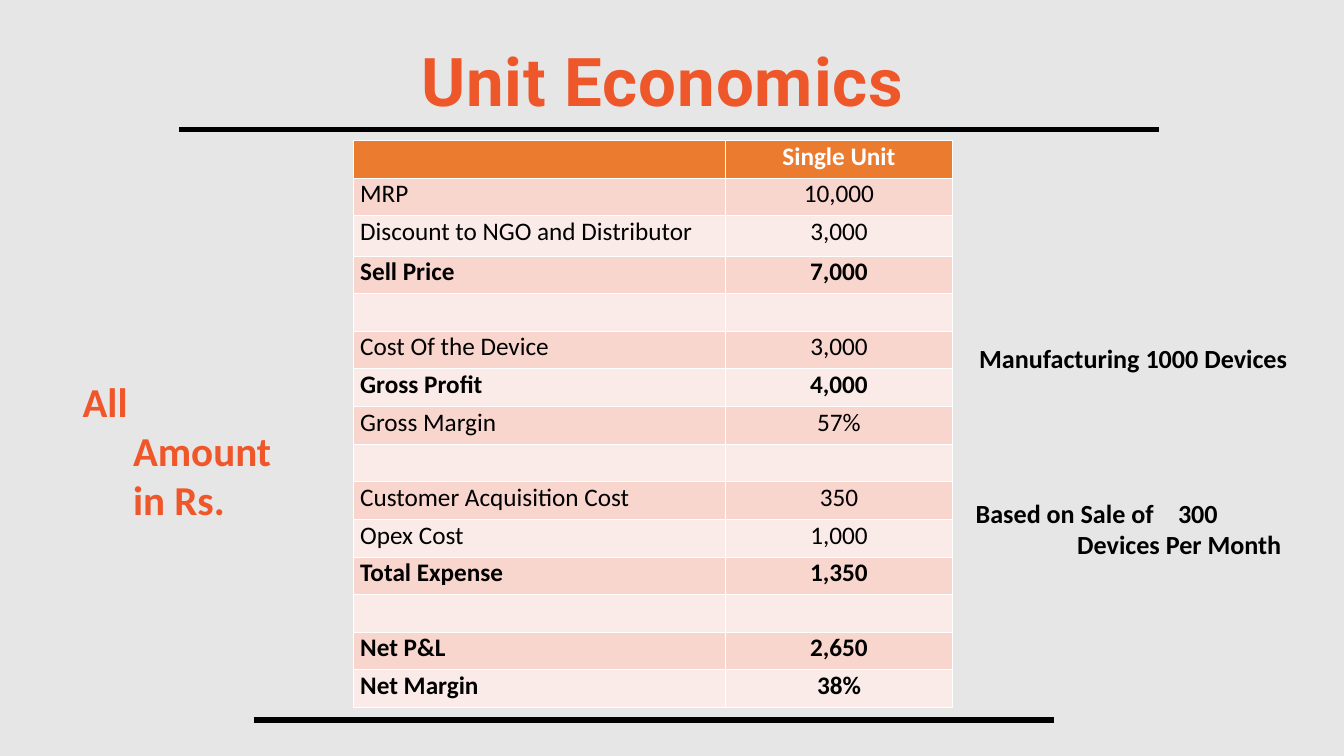
import pptx
import pptx.util
import pptx.dml.color
import pptx.enum.shapes
import pptx.enum.text
import lxml.etree

Inches = pptx.util.Inches
Pt = pptx.util.Pt
ALIGN = pptx.enum.text.PP_ALIGN
NS = "{http://schemas.openxmlformats.org/drawingml/2006/main}"

ROWS = [
    ("", "Single Unit", True),
    ("MRP", "10,000", False),
    ("Discount to NGO and Distributor", "3,000", False),
    ("Sell Price", "7,000", True),
    ("", "", False),
    ("Cost Of the Device", "3,000", False),
    ("Gross Profit", "4,000", True),
    ("Gross Margin", "57%", False),
    ("", "", False),
    ("Customer Acquisition Cost", "350", False),
    ("Opex Cost", "1,000", False),
    ("Total Expense", "1,350", True),
    ("", "", False),
    ("Net P&L", "2,650", True),
    ("Net Margin", "38%", True),
]


def paint(target, color):
    if hasattr(target, "solid"):
        target.solid()
        target = target.fore_color
    target.rgb = pptx.dml.color.RGBColor.from_string(color)


def style(para, size, color, bold=True, face="Calibri"):
    for run in para.runs:
        run.font.name = face
        run.font.size = Pt(size)
        run.font.bold = bold
        paint(run.font.color, color)


def trim(frame, top):
    frame.margin_left = frame.margin_right = frame.margin_bottom = 0
    frame.margin_top = Inches(top)
    frame.word_wrap = True
    frame.vertical_anchor = pptx.enum.text.MSO_ANCHOR.TOP
    frame.auto_size = pptx.enum.text.MSO_AUTO_SIZE.NONE


def indent(para, left, first):
    props = para._p.get_or_add_pPr()
    props.set("marL", str(Inches(left)))
    props.set("indent", str(Inches(first)))
    return props


def add_rule(slide, left, top, width):
    rule = slide.shapes.add_connector(
        pptx.enum.shapes.MSO_CONNECTOR.STRAIGHT,
        Inches(left), Inches(top), Inches(left + width), Inches(top))
    paint(rule.line.fill, "000000")
    rule.line.width = Pt(6)
    lxml.etree.SubElement(rule._element.spPr, NS + "effectLst")


def add_title(slide, left, top, width, height):
    title = slide.shapes.title
    title.left, title.top = Inches(left), Inches(top)
    title.width, title.height = Inches(width), Inches(height)
    trim(title.text_frame, 0.22)
    title.text_frame.text = "Unit Economics"
    para = title.text_frame.paragraphs[0]
    para.alignment = ALIGN.LEFT
    indent(para, 2.13, 0)
    style(para, 72, "EE572A", face="Roboto")
    para.runs[0]._r.get_or_add_rPr().set("spc", "100")
    add_rule(slide, left - 1.47, top + 1.56, 14.58)


def add_costs(slide, left, top, widths, height):
    frame = slide.shapes.add_table(
        len(ROWS), len(widths), Inches(left), Inches(top),
        Inches(sum(widths)), Inches(height * len(ROWS)))
    table = frame.table
    for col, width in zip(table.columns, widths):
        col.width = Inches(width)
    for row, (label, value, bold) in enumerate(ROWS):
        table.rows[row].height = Inches(height)
        band = "EB7B2F" if row == 0 else ("FAEBE8", "F8D5CD")[row % 2]
        ink = "FFFFFF" if row == 0 else "000000"
        for col, text in enumerate((label, value)):
            cell = table.cell(row, col)
            paint(cell.fill, band)
            cell.margin_left = Inches(0 if col else 0.1)
            cell.margin_right = cell.margin_bottom = 0
            cell.margin_top = Inches(0.01)
            cell.text_frame.text = text
            para = cell.text_frame.paragraphs[0]
            para.alignment = ALIGN.CENTER if col else ALIGN.LEFT
            style(para, 27, ink, bold)
    table.rows[2].height = Inches(0.6)


def add_note(slide, left, top, width, height, text, size, color,
             hang=0, tab=None):
    box = slide.shapes.add_textbox(
        Inches(left), Inches(top), Inches(width), Inches(height))
    trim(box.text_frame, 0.02)
    para = box.text_frame.paragraphs[0]
    para.text = text
    props = indent(para, hang + 0.01, -hang)
    if tab:
        stops = lxml.etree.SubElement(props, NS + "tabLst")
        lxml.etree.SubElement(
            stops, NS + "tab", pos=str(Inches(tab)), algn="l")
    style(para, size, color)


def main():
    deck = pptx.Presentation()
    deck.slide_width, deck.slide_height = Inches(20), Inches(11.25)
    slide = deck.slides.add_slide(deck.slide_layouts[5])
    paint(slide.background.fill, "E7E6E6")
    add_title(slide, 4.14, 0.37, 12.29, 1.43)
    add_costs(slide, 5.26, 2.09, (5.53, 3.39), 0.56)
    add_rule(slide, 3.78, 10.71, 11.91)
    add_note(slide, 1.22, 5.58, 3, 1.5,
             "All\vAmount in Rs.", 44, "EF572A", 0.75)
    add_note(slide, 14.56, 5.08, 4.65, 0.49,
             "Manufacturing 1000 Devices", 28, "000000")
    add_note(slide, 14.51, 7.38, 4.75, 0.96,
             "Based on Sale of\t300 Devices Per Month", 28, "000000",
             1.51, 3.36)
    deck.save("out.pptx")


if __name__ == "__main__":
    main()
